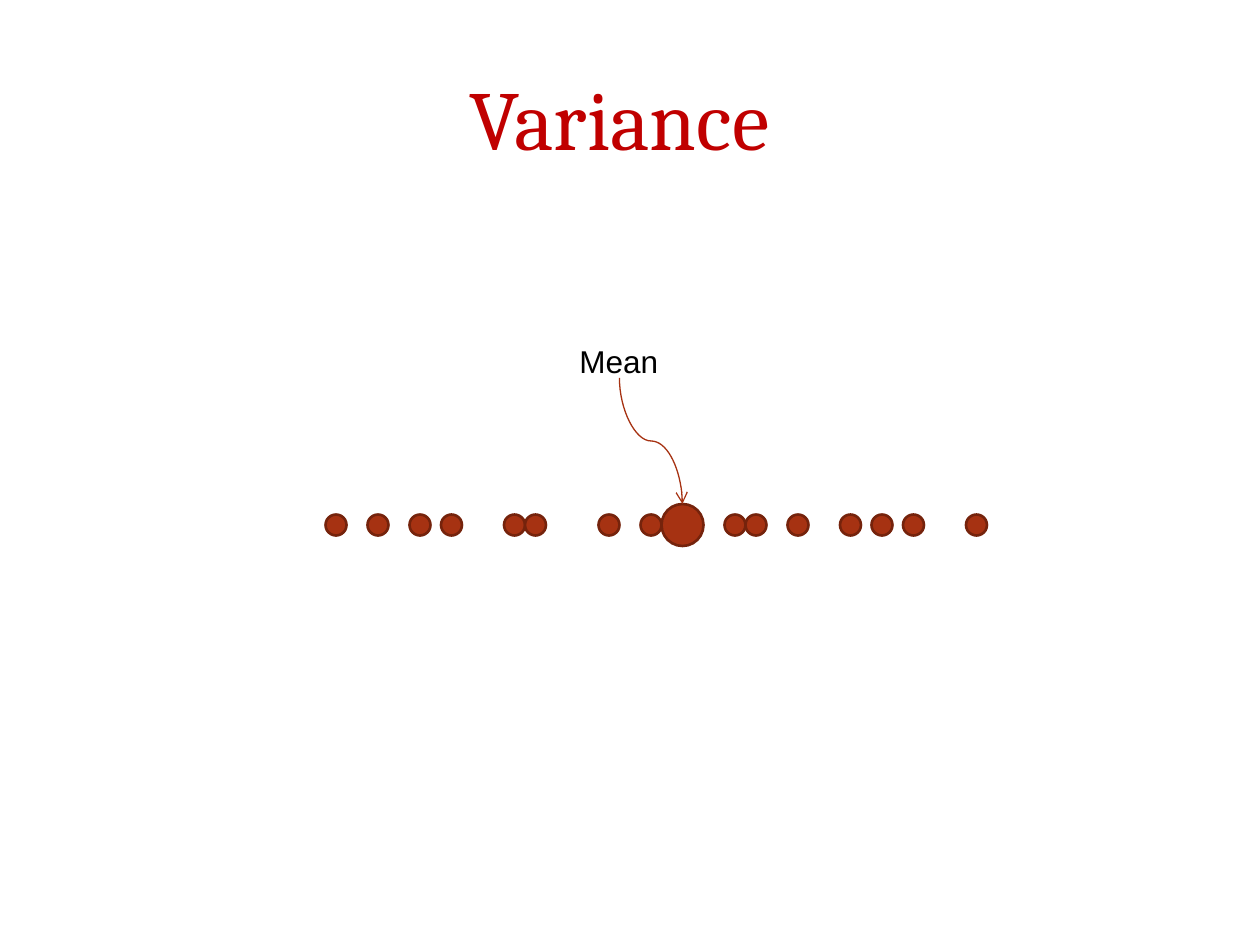
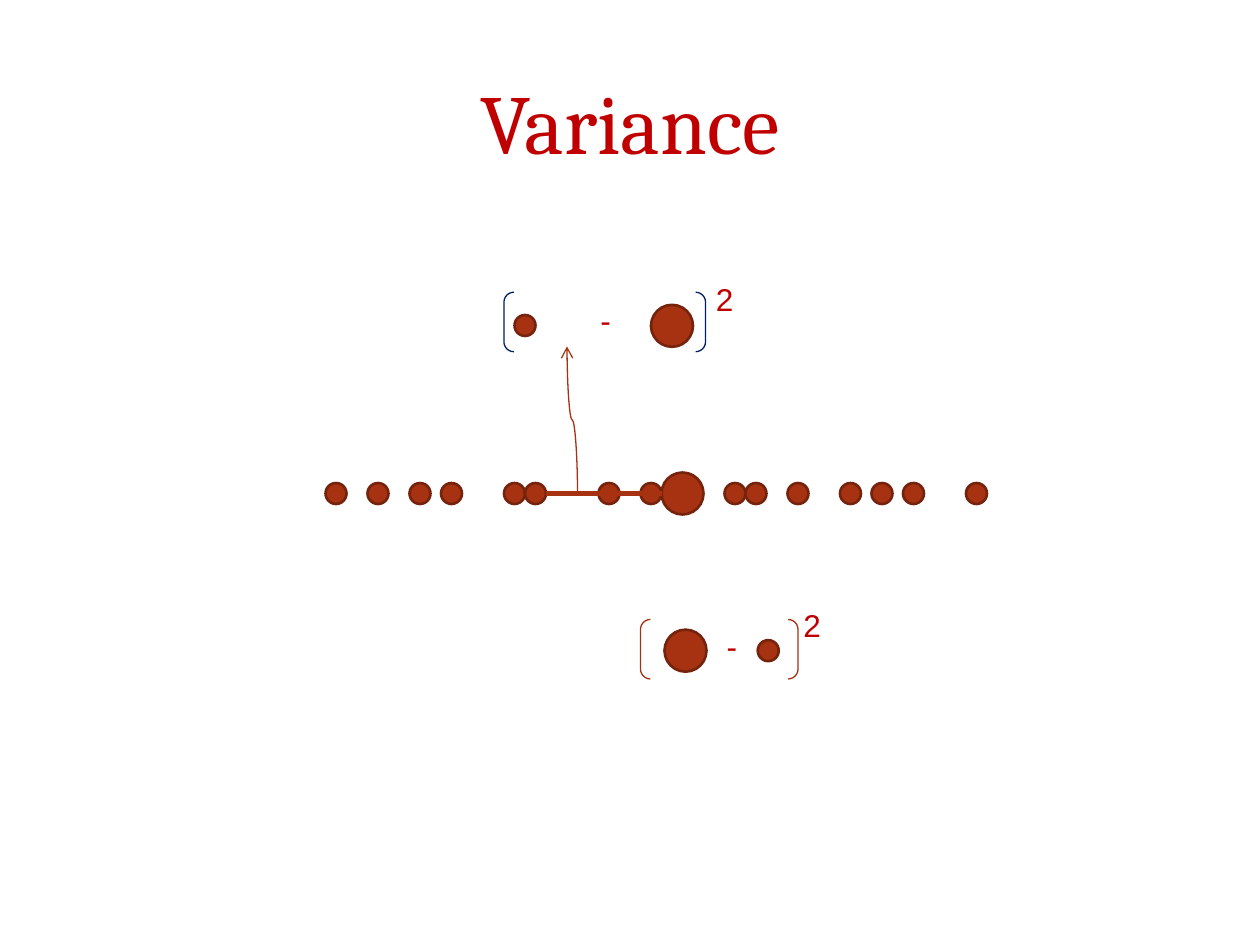
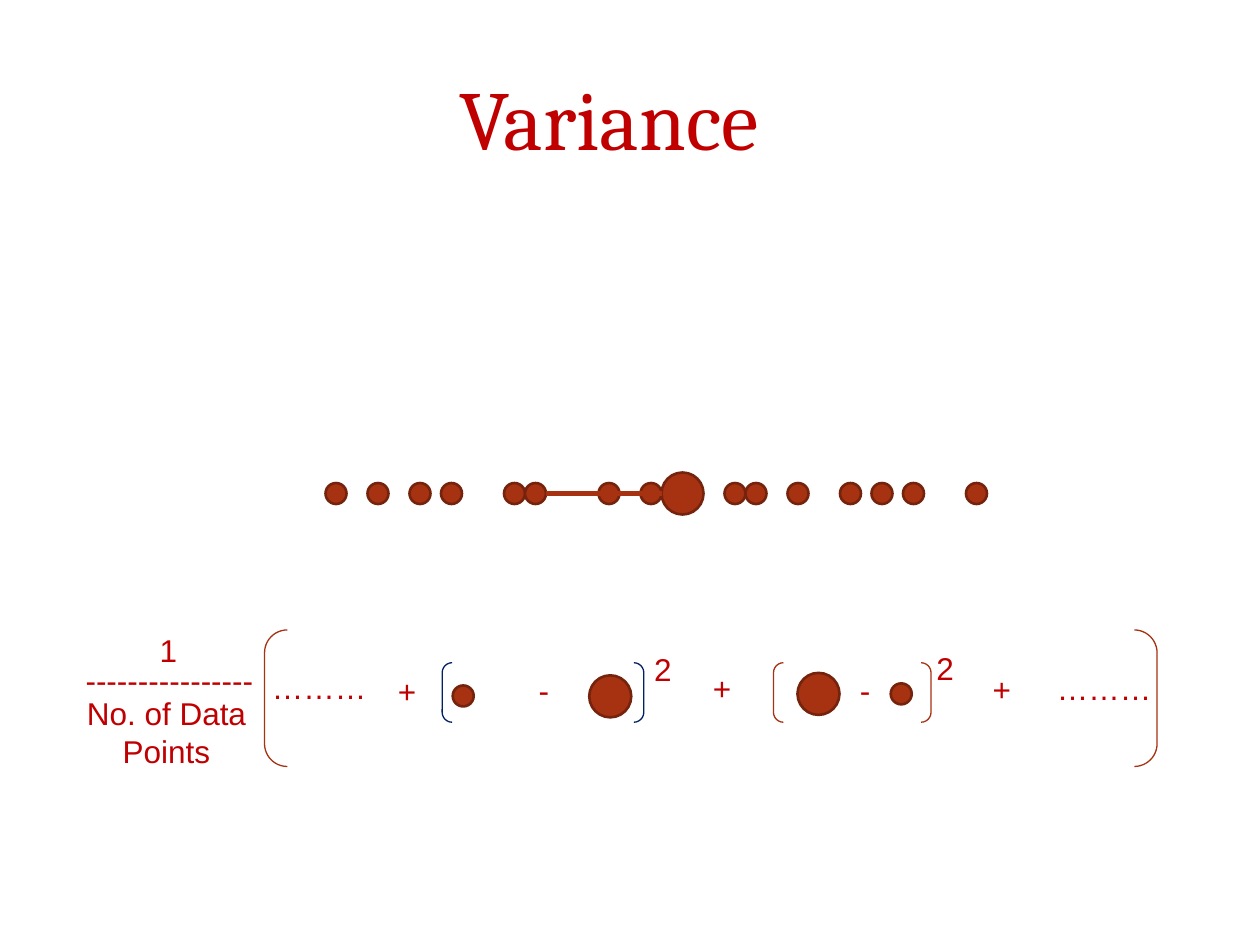
from pptx import Presentation
from pptx.dml.color import RGBColor
from pptx.enum.shapes import MSO_CONNECTOR, MSO_SHAPE
from pptx.enum.text import MSO_ANCHOR, MSO_AUTO_SIZE, PP_ALIGN
from pptx.oxml.ns import qn
from pptx.util import Pt

RED = RGBColor(0xC0, 0x00, 0x00)
RUST = RGBColor(0xA6, 0x32, 0x12)
BROWN = RGBColor(0x75, 0x23, 0x0C)
NAVY = RGBColor(0x00, 0x20, 0x60)
BLACK = RGBColor(0x00, 0x00, 0x00)

DOT, MEAN = 12, 24  # diameters
POINTS = [186, 210, 234, 252, 288, 300, 342, 366,
          414, 426, 450, 480, 498, 516, 552]
MEAN_X = 378
TERM_H = 34

# Squared differences: offsets are taken from the bracket's top left corner
BELOW = {"color": NAVY, "width": 115.2, "dot": (6, 13), "mean": (84, 7.2),
         "minus": (48, 1.4), "power": (114, -10.8)}
ABOVE = {"color": RUST, "width": 90, "dot": (67, 11.8), "mean": (13.7, 5.8),
         "minus": (42.2, 1), "power": (86, -11.2)}

# Labels of the full formula: text, left, top, width
LABELS = [
    ("+", 400.3, 378.7, 25),
    ("+", 220.3, 380.2, 25),
    ("+", 560.2, 379.4, 25),
    ("………", 596.9, 378.7, 69),
    ("………", 148.3, 378, 69),
    ("1", 84.2, 357.1, 24.5),
    ("No. of Data\nPoints", 41.8, 393.1, 106.6),
    ("----------------", 41.8, 374.4, 111.6),
]


def style(frame, font, size, color, align):
    for para in frame.paragraphs:
        para.alignment = align
        for run in para.runs:
            run.font.name = font
            run.font.size = Pt(size)
            run.font.color.rgb = color


def add_title(slide, left, top):
    box = slide.shapes.add_textbox(Pt(left), Pt(top), Pt(612), Pt(90))
    frame = box.text_frame
    frame.word_wrap = True
    frame.vertical_anchor = MSO_ANCHOR.MIDDLE
    frame.text = "Variance"
    style(frame, "Cambria", 48, RED, PP_ALIGN.CENTER)


def add_label(slide, text, left, top, width, color=RED):
    lines = text.count("\n") + 1
    box = slide.shapes.add_textbox(Pt(left), Pt(top), Pt(width),
                                   Pt(7.2 + 21.8 * lines))
    frame = box.text_frame
    frame.word_wrap = False
    frame.auto_size = MSO_AUTO_SIZE.SHAPE_TO_FIT_TEXT
    frame.text = text
    align = PP_ALIGN.CENTER if lines > 1 else PP_ALIGN.LEFT
    style(frame, "Arial", 18, color, align)


def add_dot(slide, left, top, size=DOT):
    dot = slide.shapes.add_shape(MSO_SHAPE.OVAL, Pt(left), Pt(top),
                                 Pt(size), Pt(size))
    dot.shadow.inherit = False
    dot.fill.solid()
    dot.fill.fore_color.rgb = RUST
    dot.line.color.rgb = BROWN
    dot.line.width = Pt(1.5)


def add_bracket(slide, left, top, width, height, color):
    pair = slide.shapes.add_shape(MSO_SHAPE.DOUBLE_BRACKET, Pt(left), Pt(top),
                                  Pt(width), Pt(height))
    pair.shadow.inherit = False
    pair.fill.background()
    pair.line.color.rgb = color
    pair.line.width = Pt(0.75)


def add_line(slide, kind, start, end, width):
    line = slide.shapes.add_connector(kind, *map(Pt, start + end))
    line.line.color.rgb = RUST
    line.line.width = Pt(width)
    props = line._element.spPr
    props.append(props.makeelement(qn("a:effectLst"), {}))
    return line


def add_arrow(slide, start, end):
    """Draw a curved arrow that leaves and arrives vertically."""
    mid_x, mid_y = (start[0] + end[0]) / 2, (start[1] + end[1]) / 2
    # A quarter turn carries these ends onto start and end
    ends = [(mid_x - (y - mid_y), mid_y + (x - mid_x)) for x, y in (start, end)]
    line = add_line(slide, MSO_CONNECTOR.CURVE, *ends, 0.75)
    line._element.spPr.find(qn("a:xfrm")).set("rot", str(270 * 60000))
    stroke = line.line._get_or_add_ln()
    stroke.append(stroke.makeelement(qn("a:tailEnd"), {"type": "arrow"}))


def add_row(slide, mid):
    """Place the data points and their mean on one level."""
    for left in POINTS:
        add_dot(slide, left, mid - DOT / 2)
    add_dot(slide, MEAN_X, mid - MEAN / 2, MEAN)


def add_span(slide, mid):
    add_line(slide, MSO_CONNECTOR.STRAIGHT, (312, mid), (MEAN_X, mid), 2.75)


def add_term(slide, term, left, top):
    def place(part):
        return left + term[part][0], top + term[part][1]

    add_dot(slide, *place("dot"))
    add_dot(slide, *place("mean"), MEAN)
    add_bracket(slide, left, top, term["width"], TERM_H, term["color"])
    add_label(slide, "-", *place("minus"), 21)
    add_label(slide, "2", *place("power"), 24.5)


def show_mean(slide):
    add_title(slide, 48, 21.6)
    add_row(slide, 300)
    add_arrow(slide, (354, 216), (390, 288))
    add_label(slide, "Mean", 324, 192, 60, BLACK)


def show_terms(slide):
    add_title(slide, 54, 24)
    add_row(slide, 282)
    add_span(slide, 282)
    add_term(slide, ABOVE, 366, 354)
    add_arrow(slide, (330, 282), (324, 198))
    add_term(slide, BELOW, 288, 167)


def show_sum(slide):
    add_title(slide, 42, 21.6)
    add_row(slide, 282)
    add_span(slide, 282)
    add_term(slide, ABOVE, 442, 378.7)
    add_term(slide, BELOW, 252.7, 378.7)
    for label in LABELS:
        add_label(slide, *label)
    add_bracket(slide, 151.2, 360, 510, 78, RUST)


def main():
    deck = Presentation()
    deck.slide_width, deck.slide_height = Pt(720), Pt(540)
    for show in (show_mean, show_terms, show_sum):
        show(deck.slides.add_slide(deck.slide_layouts[6]))
    deck.save("out.pptx")


if __name__ == "__main__":
    main()
